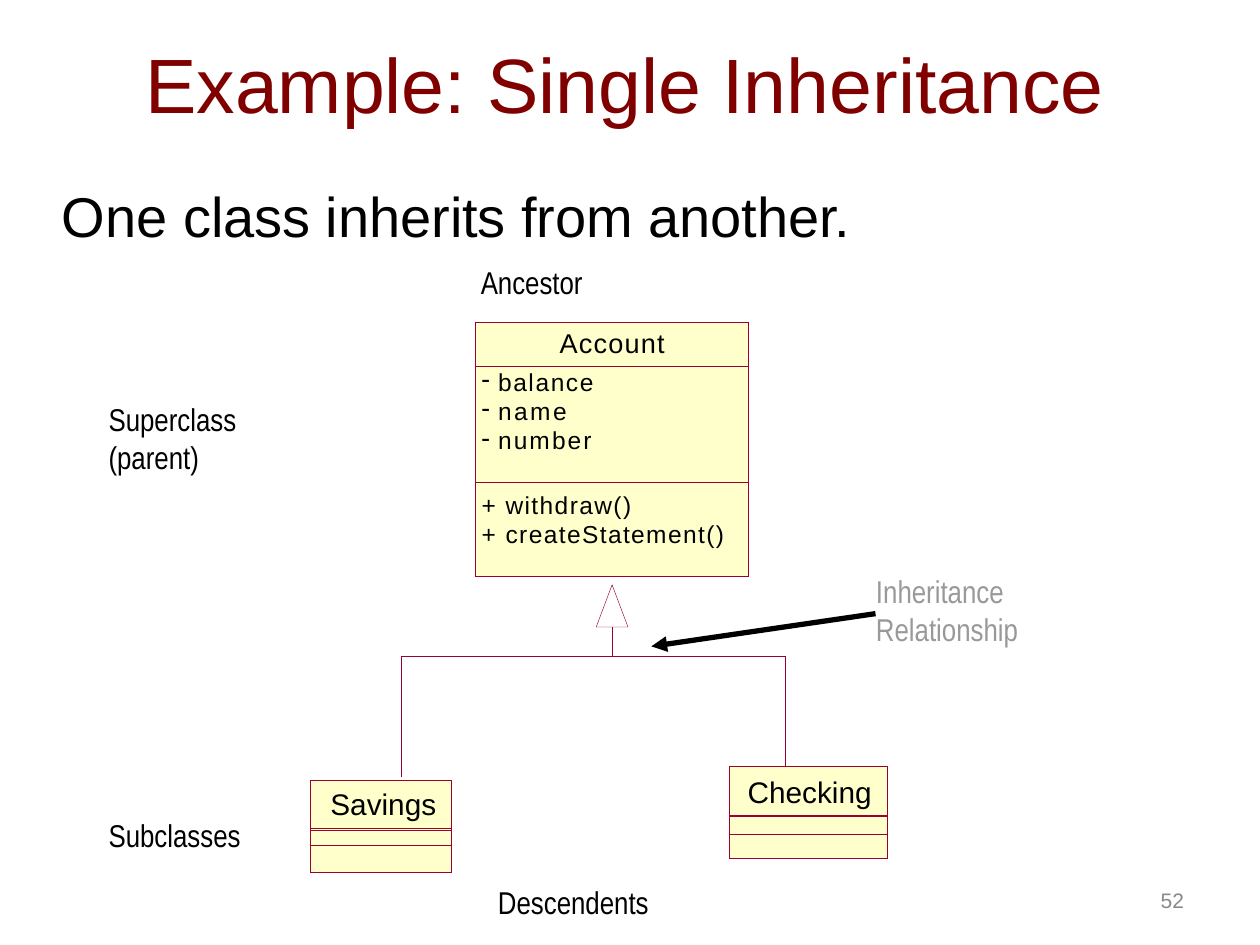
"""Build the slide that explains single inheritance with a class diagram."""
from lxml.etree import SubElement
from pptx import Presentation
from pptx.dml.color import RGBColor
from pptx.enum.shapes import MSO_CONNECTOR, MSO_SHAPE
from pptx.enum.text import MSO_ANCHOR, PP_ALIGN
from pptx.oxml.ns import qn
from pptx.util import Cm, Pt

COLOURS = {
    "title": "800000",
    "text": "000000",
    "muted": "999999",
    "number": "888888",
    "box": "FFFFCC",
    "line": "990033",
    "paper": "FFFFFF",
}
COLOURS = {name: RGBColor.from_string(value) for name, value in COLOURS.items()}
NARROW = {"size": 18, "font": "Arial Narrow"}


def write(container, frame, top, lines):
    layout = {"margin_left": 0, "margin_top": Cm(top), "margin_right": 0,
              "margin_bottom": 0, "vertical_anchor": MSO_ANCHOR.TOP}
    for name, value in layout.items():
        setattr(container, name, value)
    frame.word_wrap = True
    for index, line in enumerate(lines):
        paragraph = frame.paragraphs[0] if index == 0 else frame.add_paragraph()
        paragraph.alignment = line.get("align", PP_ALIGN.LEFT)
        paragraph.space_before = Pt(line.get("before", 0))
        properties = paragraph._p.get_or_add_pPr()
        properties.set("marL", str(Cm(line.get("indent", 0.03))))
        properties.set("indent", str(Cm(line.get("hanging", 0))))
        if "bullet" in line:
            SubElement(properties, qn("a:buChar")).set("char", line["bullet"])
        run = paragraph.add_run()
        run.text = line["text"]
        formats = {"size": Pt(line["size"]), "name": line.get("font", "Arial")}
        for name, value in formats.items():
            setattr(run.font, name, value)
        run.font.color.rgb = COLOURS[line.get("colour", "text")]
        run._r.get_or_add_rPr().set("spc", str(round(line.get("spacing", 0) * 100)))


def add_outline(shapes, kind, box, fill):
    shape = shapes.add_shape(kind, *map(Cm, box))
    shape.shadow.inherit = False
    if fill:
        shape.fill.solid()
        shape.fill.fore_color.rgb = COLOURS[fill]
    else:
        shape.fill.background()
    shape.line.color.rgb = COLOURS["line"]
    shape.line.width = Pt(0.25)
    return shape


presentation = Presentation()
presentation.slide_width = Cm(25.4)
presentation.slide_height = Cm(19.05)
slide = presentation.slides.add_slide(presentation.slide_layouts[6])
shapes = slide.shapes

texts = [
    ((23.37, 17.86, 0.53, 0.58), 0.03,
     [{"text": "52", "size": 12, "colour": "number", "before": 1}]),
    ((2.9, 0.71, 19.41, 1.93), 0.03,
     [{"text": "Example: Single Inheritance", "size": 44, "colour": "title", "before": 1.1}]),
    ((1.22, 3.12, 16.05, 3), 0.53,
     [{"text": "One class inherits from another.", "size": 32, "before": 15.4, "spacing": -0.05},
      {"text": "Ancestor", "align": PP_ALIGN.CENTER, "indent": 2.95, "before": 8.2, **NARROW}]),
    ((2.16, 8.03, 2.64, 1.6), 0.03,
     [{"text": "Superclass", "before": 1, **NARROW}, {"text": "(parent)", **NARROW}]),
    ((2.16, 16.43, 2.74, 0.84), 0.03, [{"text": "Subclasses", "before": 1, **NARROW}]),
    ((17.63, 11.51, 2.92, 1.6), 0.03,
     [{"text": "Inheritance Relationship", "colour": "muted", "before": 1, **NARROW}]),
    ((10.01, 17.78, 3.1, 0.84), 0.03, [{"text": "Descendents", "before": 1, **NARROW}]),
]
for box, top, lines in texts:
    frame = shapes.add_textbox(*map(Cm, box)).text_frame
    write(frame, frame, top, lines)

subclasses = [
    ("Checking", 14.71, 15.44, 3.18, 1, (1.02, 1.37), 0.15, 0.36),
    ("Savings", 6.25, 15.72, 2.85, 1.02, (0.97, 1.32), 0.13, 0.41),
]
for name, left, top, width, name_height, compartments, inset, indent in subclasses:
    height = 1.86
    add_outline(shapes, MSO_SHAPE.RECTANGLE, (left, top, width, height), "box")
    shape = add_outline(shapes, MSO_SHAPE.RECTANGLE, (left, top, width, name_height), "box")
    write(shape.text_frame, shape.text_frame, inset,
          [{"text": name, "size": 17, "indent": indent, "before": 4}])
    for offset in compartments:
        add_outline(shapes, MSO_SHAPE.RECTANGLE,
                    (left, top + offset, width, height - offset), None)

branch_y = 13.23
connectors = [
    ((8.08, 15.67), (8.08, branch_y), "line", 0.25),
    ((15.83, 15.44), (15.83, branch_y), "line", 0.25),
    ((8.08, branch_y), (15.83, branch_y), "line", 0.25),
    ((12.34, branch_y), (12.34, 11.79), "line", 0.25),
    ((17.65, 12.37), (13.13, 13.03), "text", 3),
]
for start, end, colour, width in connectors:
    connector = shapes.add_connector(MSO_CONNECTOR.STRAIGHT, *map(Cm, start + end))
    connector.line.color.rgb = COLOURS[colour]
    connector.line.width = Pt(width)
    SubElement(connector._element.spPr, qn("a:effectLst"))
arrowhead = SubElement(connector.line._get_or_add_ln(), qn("a:tailEnd"))
for name, value in {"type": "triangle", "w": "med", "len": "med"}.items():
    arrowhead.set(name, value)
add_outline(shapes, MSO_SHAPE.ISOSCELES_TRIANGLE, (12.02, 11.79, 0.64, 0.85), "paper")

rows = [
    (0.89, 0.13, [{"text": "Account", "size": 15.5, "indent": 1.7, "before": 3.4,
                   "spacing": 0.7}]),
    (2.34, 0.05, [{"text": text, "size": 14, "indent": 0.46, "hanging": -0.33,
                   "before": 1, "bullet": "-", "spacing": spacing}
                  for text, spacing in (("balance", 0.9), ("name", 1.4), ("number", 1.2))]),
    (1.88, 0.2, [{"text": text, "size": 14, "indent": 0.13, "before": before, "spacing": 0.8}
                 for text, before in (("+ withdraw()", 6), ("+ createStatement()", 0.9))]),
]
table_height = sum(height for height, _, _ in rows)
table = shapes.add_table(len(rows), 1, Cm(9.58), Cm(6.5), Cm(5.51), Cm(table_height)).table
table.first_row = False
table.horz_banding = False
for index, (height, top, lines) in enumerate(rows):
    table.rows[index].height = Cm(height)
    cell = table.cell(index, 0)
    write(cell, cell.text_frame, top, lines)
    for side in ("lnL", "lnR", "lnT", "lnB"):
        border = SubElement(cell._tc.get_or_add_tcPr(), qn(f"a:{side}"))
        border.set("w", str(Pt(0.5)))
        fill = SubElement(border, qn("a:solidFill"))
        SubElement(fill, qn("a:srgbClr")).set("val", str(COLOURS["line"]))
    cell.fill.solid()
    cell.fill.fore_color.rgb = COLOURS["box"]

presentation.save("out.pptx")
